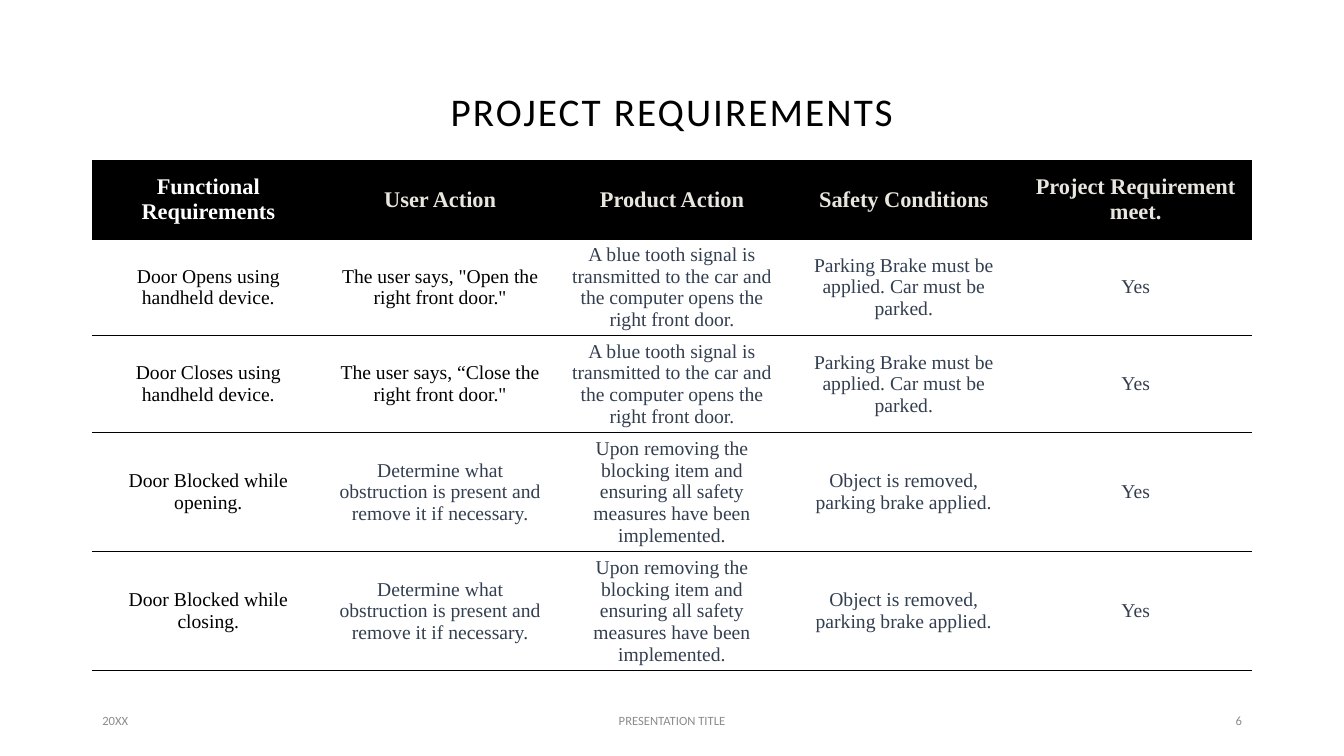
"""Build the project requirements slide: a title, a table and a footer."""
import pptx
import pptx.dml.color
import pptx.enum.text
import pptx.oxml
import pptx.oxml.ns
import pptx.util
from pptx.util import Cm

TITLE = "PROJECT REQUIREMENTS"
HEADINGS = ["Functional Requirements", "User Action", "Product Action",
            "Safety Conditions", "Project Requirement meet."]
OPENS_DOOR = ("A blue tooth signal is transmitted to the car and "
              "the computer opens the right front door.")
PARKED = "Parking Brake must be applied. Car must be parked."
FIND_OBSTRUCTION = "Determine what obstruction is present and remove it if necessary."
UNBLOCKED = ("Upon removing the blocking item and ensuring all safety measures "
             "have been implemented.")
OBJECT_REMOVED = "Object is removed, parking brake applied."
REQUIREMENTS = [
    ["Door Opens using handheld device.", 'The user says, "Open the right front door."',
     OPENS_DOOR, PARKED, "Yes"],
    ["Door Closes using handheld device.", 'The user says, “Close the right front door."',
     OPENS_DOOR, PARKED, "Yes"],
    ["Door Blocked while opening.", FIND_OBSTRUCTION, UNBLOCKED, OBJECT_REMOVED, "Yes"],
    ["Door Blocked while closing.", FIND_OBSTRUCTION, UNBLOCKED, OBJECT_REMOVED, "Yes"],
]
ALIGN = pptx.enum.text.PP_ALIGN
FOOTER = [("20XX", 2.33, 7.62, ALIGN.LEFT),
          ("PRESENTATION TITLE", 11.22, 11.43, ALIGN.CENTER),
          ("6", 23.93, 7.62, ALIGN.RIGHT)]
COLOURS = {"black": "000000", "white": "FFFFFF", "cream": "E9E6DF",
           "slate": "333F50", "grey": "8C8C8C"}
LEFT, WIDTH = 2.33, 29.21
ROW_HEIGHTS = [1.98, 2.44, 2.44, 3, 3]


def rgb(name):
    return pptx.dml.color.RGBColor.from_string(COLOURS[name])


def write(frame, text, font, size, colour, align, bold=False):
    frame.text = text
    frame.word_wrap = True
    frame.vertical_anchor = pptx.enum.text.MSO_ANCHOR.MIDDLE
    paragraph = frame.paragraphs[0]
    paragraph.alignment = align
    run = paragraph.runs[0]
    run.font.name = font
    run.font.size = pptx.util.Pt(size)
    run.font.bold = bold
    run.font.color.rgb = rgb(colour)
    return run


def set_borders(cell):
    rule = f'<a:solidFill><a:srgbClr val="{COLOURS["black"]}"/></a:solidFill>'
    edges = [("lnL", "<a:noFill/>"), ("lnR", "<a:noFill/>"), ("lnT", rule), ("lnB", rule)]
    properties = cell._tc.get_or_add_tcPr()
    for position, (edge, paint) in enumerate(edges):
        properties.insert(position, pptx.oxml.parse_xml(
            f'<a:{edge} {pptx.oxml.ns.nsdecls("a")} w="6350">{paint}</a:{edge}>'))


def text_colour(row, column, text):
    if row == 0:
        return "white" if column == 0 else "cream"
    return "black" if column == 0 or text.startswith("The user says") else "slate"


def add_title(slide):
    title = slide.shapes.title
    title.left, title.top, title.width, title.height = Cm(LEFT), Cm(1.02), Cm(WIDTH), Cm(3.68)
    run = write(title.text_frame, TITLE, "Calibri", 28, "black", ALIGN.CENTER)
    title.text_frame.paragraphs[0].line_spacing = 0.9
    run.font._element.set("spc", "150")


def add_requirements(slide):
    rows = [HEADINGS] + REQUIREMENTS
    table = slide.shapes.add_table(len(rows), len(HEADINGS), Cm(LEFT), Cm(4.04),
                                   Cm(WIDTH), Cm(sum(ROW_HEIGHTS))).table
    table.horz_banding = False
    for row, (texts, height) in enumerate(zip(rows, ROW_HEIGHTS)):
        table.rows[row].height = Cm(height)
        for column, text in enumerate(texts):
            cell = table.cell(row, column)
            cell.vertical_anchor = pptx.enum.text.MSO_ANCHOR.MIDDLE
            cell.fill.solid()
            cell.fill.fore_color.rgb = rgb("white" if row else "black")
            set_borders(cell)
            write(cell.text_frame, text, "Times New Roman", 14 if row else 16,
                  text_colour(row, column, text), ALIGN.CENTER, bold=row == 0)


def add_footer(slide):
    for text, left, width, align in FOOTER:
        box = slide.shapes.add_textbox(Cm(left), Cm(17.65), Cm(width), Cm(1.02))
        write(box.text_frame, text, "Calibri", 9, "grey", align)


def main():
    deck = pptx.Presentation()
    deck.slide_width, deck.slide_height = Cm(33.87), Cm(19.05)
    slide = deck.slides.add_slide(deck.slide_layouts[5])
    add_title(slide)
    add_requirements(slide)
    add_footer(slide)
    deck.save("out.pptx")


if __name__ == "__main__":
    main()
